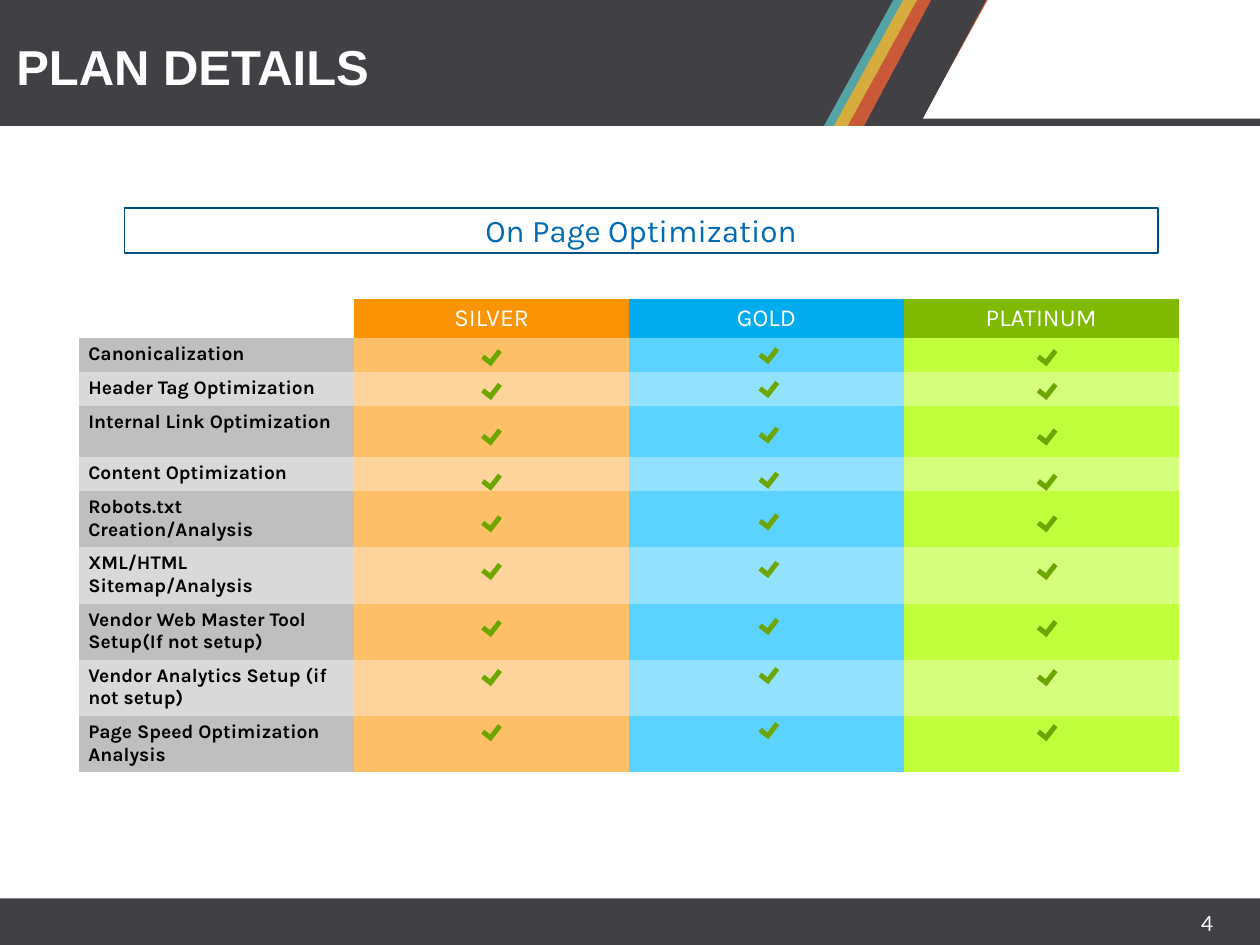
from lxml.etree import SubElement
from pptx import Presentation
from pptx.dml.color import RGBColor as Rgb
from pptx.enum.shapes import MSO_SHAPE as Kind
from pptx.enum.text import MSO_ANCHOR as Anchor, PP_ALIGN as Align
from pptx.oxml.ns import qn
from pptx.util import Cm, Pt

# Content
TITLE = "PLAN DETAILS"
HEAD = "On Page Optimization"
PAGE = "4"
PLANS = ["SILVER", "GOLD", "PLATINUM"]
# feature, row height, top of its check marks (cm)
ROWS = [
    ("Canonicalization", 0.69, 7.04),
    ("Header Tag Optimization", 0.69, 7.72),
    ("Internal Link Optimization", 1.02, 8.64),
    ("Content Optimization", 0.69, 9.55),
    ("Robots.txt Creation/Analysis", 1.1, 10.39),
    ("XML/HTML Sitemap/Analysis", 1.1, 11.35),
    ("Vendor Web Master Tool Setup(If not setup)", 1.1, 12.5),
    ("Vendor Analytics Setup (if not setup)", 1.1, 13.49),
    ("Page Speed Optimization Analysis", 1.1, 14.6),
]
# left and vertical shift of each plan's check marks (cm)
MARKS = [(9.73, 0), (15.32, -0.04), (20.93, 0)]
# left, width, colour of each slanted stripe (cm)
BANDS = [
    (16.61, 2.82, "54A4A5"),
    (16.81, 2.82, "D6AC3E"),
    (17.09, 2.82, "CA5937"),
    (17.42, 2.46, "414145"),
]

THEME = {
    "dark": "414145", "white": "FFFFFF", "black": "000000",
    "edge": "004E86", "blue": "006AB5", "tick": "6DA601",
    "top": ["FFFFFF", "FB9404", "00ACED", "7FBA00"],
    "odd": ["BFBFBF", "FDBF68", "5BD2FF", "C1FF3D"],
    "even": ["D9D9D9", "FDD49B", "92E1FF", "D6FF7D"],
    "body": "Karla", "title": "Arial", "num": "Lato",
    "big": 28, "mid": 18, "plan": 14, "small": 12, "cell": 11,
}

deck = Presentation()
deck.slide_width, deck.slide_height = Cm(25.4), Cm(19.05)
slide = deck.slides.add_slide(deck.slide_layouts[6])


def paint(part, tint):
    part.fill.solid()
    part.fill.fore_color.rgb = Rgb.from_string(tint)


def draw(kind, box, tint, adj=()):
    shape = slide.shapes.add_shape(kind, *map(Cm, box))
    shape.shadow.inherit = False
    paint(shape, tint)
    shape.line.fill.background()
    for i, val in enumerate(adj):
        shape.adjustments[i] = val
    return shape


def write(frame, text, font, size, tint, bold=False, align=Align.LEFT):
    para = frame.paragraphs[0]
    para.alignment = align
    run = para.add_run()
    run.text = text
    run.font.name, run.font.size, run.font.bold = font, Pt(size), bold
    run.font.color.rgb = Rgb.from_string(tint)


def label(box, anchor, *args, **opts):
    frame = slide.shapes.add_textbox(*map(Cm, box)).text_frame
    frame.word_wrap = True
    frame.vertical_anchor = anchor
    write(frame, *args, **opts)
    return frame


# Header band and footer
dark, white = THEME["dark"], THEME["white"]
draw(Kind.RECTANGLE, (0, 2.39, 25.4, 0.15), dark)
draw(Kind.RECTANGLE, (0, 0, 18.57, 2.54), dark)
for left, wide, tint in BANDS:
    draw(Kind.PARALLELOGRAM, (left, 0, wide, 2.54), tint, [0.551])
draw(Kind.RECTANGLE, (0, 18.11, 25.4, 0.94), dark)
label((19.63, 18.19, 5.08, 0.84), Anchor.MIDDLE, PAGE, THEME["num"],
      THEME["small"], white, align=Align.RIGHT)

# Panel and section heading
draw(Kind.ROUNDED_RECTANGLE, (1.27, 5.74, 22.86, 9.7), white, [0.019])
bar = draw(Kind.RECTANGLE, (2.51, 4.19, 20.83, 0.91), white)
bar.line.color.rgb = Rgb.from_string(THEME["edge"])
bar.line.width = Pt(1)
bar.text_frame.vertical_anchor = Anchor.MIDDLE
write(bar.text_frame, HEAD, THEME["body"], THEME["mid"], THEME["blue"],
      align=Align.CENTER)

# Plan table
highs = [0.76] + [high for _, high, _ in ROWS]
table = slide.shapes.add_table(
    len(highs), len(PLANS) + 1, Cm(1.6), Cm(6.02), Cm(22.16),
    Cm(sum(highs))).table
props = table._tbl.tblPr
props.find(qn("a:tableStyleId")).text = "{2D5ABB26-0587-4C30-8999-92F81FD0307C}"
table.first_row = table.horz_banding = False
for col in table.columns:
    col.width = Cm(5.54)
for r, high in enumerate(highs):
    table.rows[r].height = Cm(high)
    tints = THEME["top" if r == 0 else "odd" if r % 2 else "even"]
    for c, tint in enumerate(tints):
        cell = table.cell(r, c)
        paint(cell, tint)
        cell.margin_left = cell.margin_right = Cm(0.18)
        cell.margin_top = cell.margin_bottom = Cm(0.1)
        if r == 0 and c:
            write(cell.text_frame, PLANS[c - 1], THEME["body"],
                  THEME["plan"], white, align=Align.CENTER)
        elif r and c == 0:
            write(cell.text_frame, ROWS[r - 1][0], THEME["body"],
                  THEME["cell"], THEME["black"], bold=True)
        else:  # small type keeps an empty cell from stretching its row
            end = SubElement(cell.text_frame.paragraphs[0]._p,
                             qn("a:endParaRPr"))
            end.set("sz", str(THEME["cell"] * 100))

# Check marks
for left, shift in MARKS:
    for _, _, top in ROWS:
        tick = draw(Kind.CORNER, (left, top + shift, 0.36, 0.25),
                    THEME["tick"], [0.404, 0.404])
        tick.rotation = 308.1

# Slide title
frame = label((0.08, 0.51, 24.82, 1.8), Anchor.TOP, TITLE, THEME["title"],
              THEME["big"], white, bold=True)
frame.margin_top = Cm(0.23)

deck.save("out.pptx")
